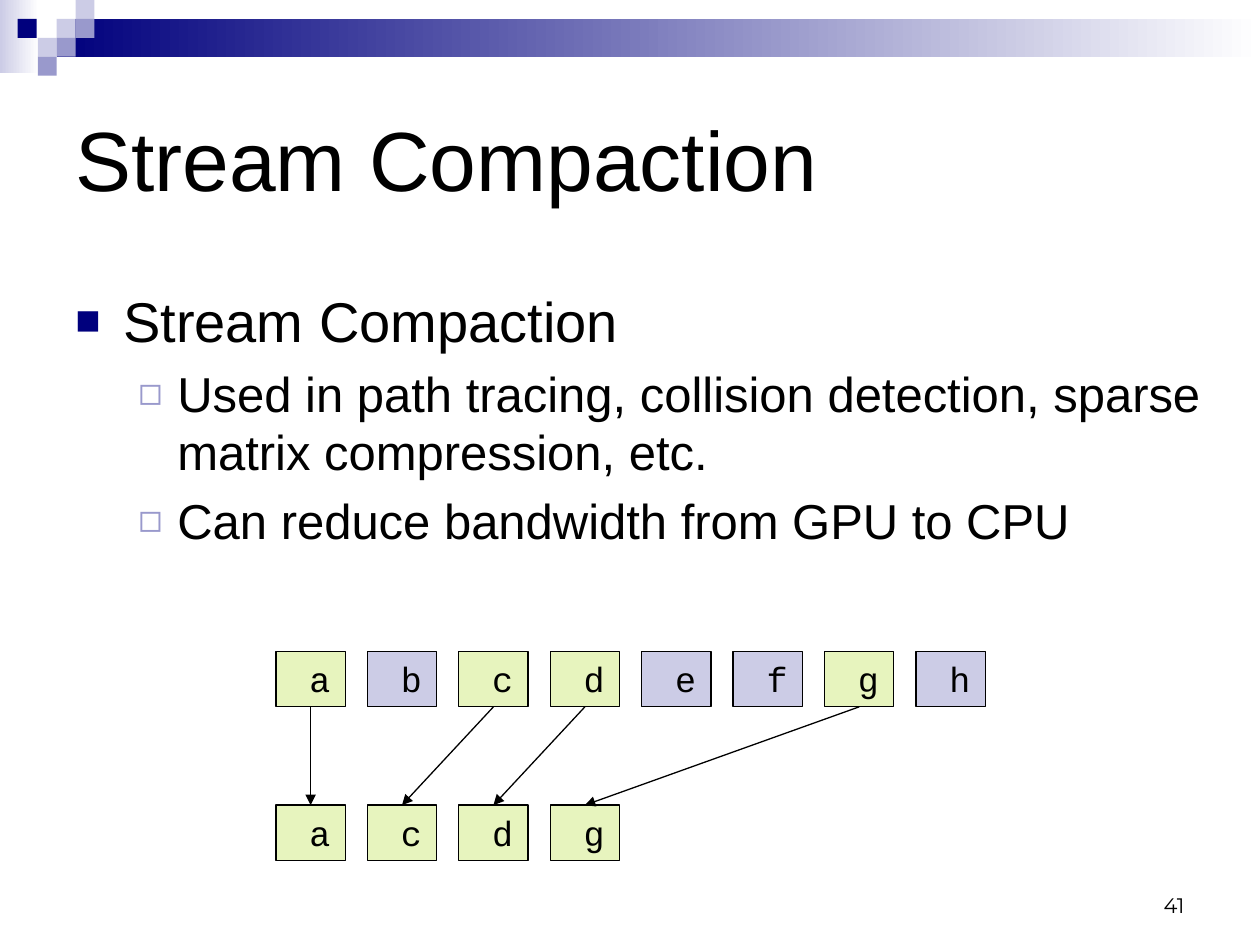
import pptx
import pptx.util
import pptx.dml.color
import pptx.enum.shapes
import pptx.enum.text
import pptx.oxml.ns
import lxml.etree

Inches, Pt = pptx.util.Inches, pptx.util.Pt
RGBColor = pptx.dml.color.RGBColor
Shape = pptx.enum.shapes.MSO_SHAPE
Align, Anchor = pptx.enum.text.PP_ALIGN, pptx.enum.text.MSO_ANCHOR

NAVY = RGBColor(0x00, 0x00, 0x7D)
LAVENDER = RGBColor(0xCC, 0xCC, 0xE6)
PERIWINKLE = RGBColor(0x99, 0x99, 0xCC)
LIME = RGBColor(0xE7, 0xF4, 0xBE)
BLACK = RGBColor(0, 0, 0)
WHITE = RGBColor(0xFF, 0xFF, 0xFF)

# Content
TITLE = "Stream Compaction"
PAGE_NUMBER = "41"
BULLETS = [
    (0, "Stream Compaction"),
    (1, "Used in path tracing, collision detection, sparse matrix compression, etc."),
    (1, "Can reduce bandwidth from GPU to CPU"),
]
LEVELS = [
    dict(size=32, bullet=("■", NAVY, 75), margin=0.38, indent=-0.38),
    dict(size=28, bullet=("◻", PERIWINKLE, 80), margin=0.81, indent=-0.31, before=5.6),
]
STREAM = "abcdefgh"
KEPT = "acdg"

# Banner: gradient bars and small squares
BARS = [((0, 0, 0.31, 0.58), LAVENDER), ((0.45, 0.15, 9.55, 0.3), NAVY)]
SQUARE = 0.15
SQUARES = [
    (0.45, 0.15, LAVENDER), (0.6, 0, LAVENDER), (0.6, 0.15, PERIWINKLE),
    (0.3, 0.3, LAVENDER), (0.14, 0.15, NAVY), (0.45, 0.3, PERIWINKLE),
    (0.3, 0.45, PERIWINKLE),
]

# Diagram grid
CELL_LEFT, CELL_WIDTH, CELL_HEIGHT = 2.19, 0.55, 0.44
CELL_STEP = (7.27 - CELL_LEFT) / (len(STREAM) - 1)
STREAM_TOP, KEPT_TOP = 5.17, 6.39


def add_child(parent, tag, **attributes):
    return lxml.etree.SubElement(parent, pptx.oxml.ns.qn(tag), **attributes)


def write(frame, text, size, font="Arial", align=Align.LEFT, bullet=None,
          margin=0, indent=0, before=0, first=True):
    """Write one paragraph into a text frame."""
    para = frame.paragraphs[0] if first else frame.add_paragraph()
    para.alignment = align
    para.space_before = Pt(before)
    if bullet:
        mark, color, percent = bullet
        properties = para._p.get_or_add_pPr()
        properties.set("marL", str(Inches(margin)))
        properties.set("indent", str(Inches(indent)))
        add_child(add_child(properties, "a:buClr"), "a:srgbClr", val=str(color))
        add_child(properties, "a:buSzPct", val=str(percent * 1000))
        add_child(properties, "a:buFont", typeface=font)
        add_child(properties, "a:buChar", char=mark)
    span = para.add_run()
    span.text = text
    span.font.size = Pt(size)
    span.font.name = font
    span.font.color.rgb = BLACK
    return para


def add_text_box(page, area, anchor=Anchor.TOP):
    frame = page.shapes.add_textbox(*map(Inches, area)).text_frame
    frame.word_wrap = True
    frame.vertical_anchor = anchor
    return frame


def add_rectangle(page, area, color, fade=False):
    box = page.shapes.add_shape(Shape.RECTANGLE, *map(Inches, area))
    box.shadow.inherit = False
    box.line.fill.background()
    if fade:
        box.fill.gradient()
        box.fill.gradient_angle = 0
        for stop, shade in zip(box.fill.gradient_stops, (color, WHITE)):
            stop.color.rgb = shade
    else:
        box.fill.solid()
        box.fill.fore_color.rgb = color
    return box


def cell_left(index):
    return CELL_LEFT + index * CELL_STEP


def add_cell(page, index, top, letter):
    color = LIME if letter in KEPT else LAVENDER
    box = add_rectangle(page, (cell_left(index), top, CELL_WIDTH, CELL_HEIGHT), color)
    box.line.color.rgb = BLACK
    box.line.width = Pt(0.75)
    box.text_frame.word_wrap = False
    box.text_frame.vertical_anchor = Anchor.TOP
    write(box.text_frame, " " + letter, size=20, font="Courier New")


def add_arrow(page, start, end):
    arrow = page.shapes.add_connector(
        pptx.enum.shapes.MSO_CONNECTOR.STRAIGHT, *map(Inches, start + end))
    arrow.line.color.rgb = BLACK
    arrow.line.width = Pt(0.75)
    add_child(arrow.line._get_or_add_ln(), "a:tailEnd", type="triangle")
    add_child(arrow._element.spPr, "a:effectLst")


def main():
    deck = pptx.Presentation()
    deck.slide_width, deck.slide_height = Inches(10), Inches(7.5)
    page = deck.slides.add_slide(deck.slide_layouts[6])

    # Banner
    for area, color in BARS:
        add_rectangle(page, area, color, fade=True)
    for left, top, color in SQUARES:
        add_rectangle(page, (left, top, SQUARE, SQUARE), color)

    # Title and bullets
    write(add_text_box(page, (0.5, 0.5, 9, 1.5), Anchor.MIDDLE), TITLE, size=48)
    body = add_text_box(page, (0.5, 2.17, 9.33, 4.25))
    body.margin_top = Inches(0.1)
    for number, (level, text) in enumerate(BULLETS):
        para = write(body, text, first=number == 0, **LEVELS[level])
        para.level = level

    # Stream, compacted stream and arrows between them
    for index, letter in enumerate(STREAM):
        add_cell(page, index, STREAM_TOP, letter)
    for index, letter in enumerate(KEPT):
        add_cell(page, index, KEPT_TOP, letter)
    for index, letter in enumerate(KEPT):
        middle = CELL_WIDTH / 2
        add_arrow(page,
                  (cell_left(STREAM.index(letter)) + middle, STREAM_TOP + CELL_HEIGHT),
                  (cell_left(index) + middle, KEPT_TOP))

    # Page number
    write(add_text_box(page, (7.17, 6.83, 2.33, 0.5), Anchor.BOTTOM), PAGE_NUMBER,
          size=12, font="Montserrat", align=Align.RIGHT)

    deck.save("out.pptx")


if __name__ == "__main__":
    main()
